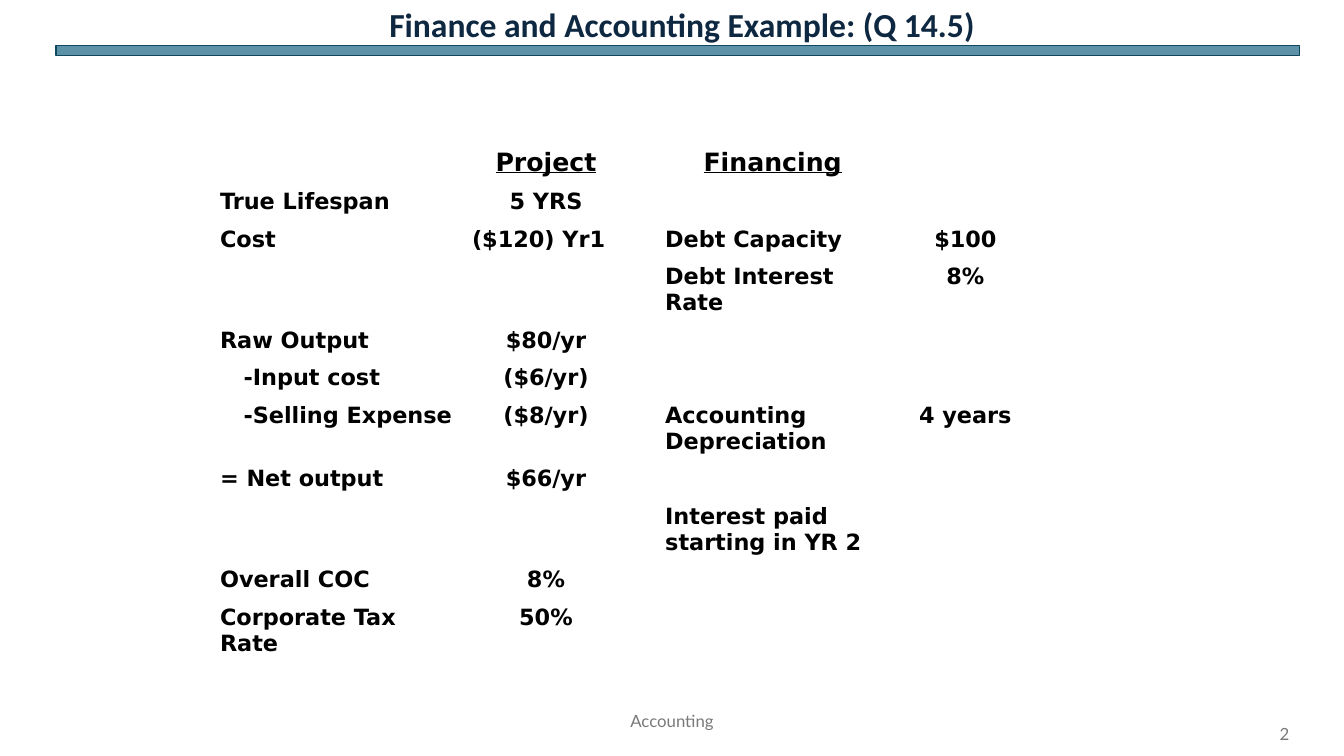
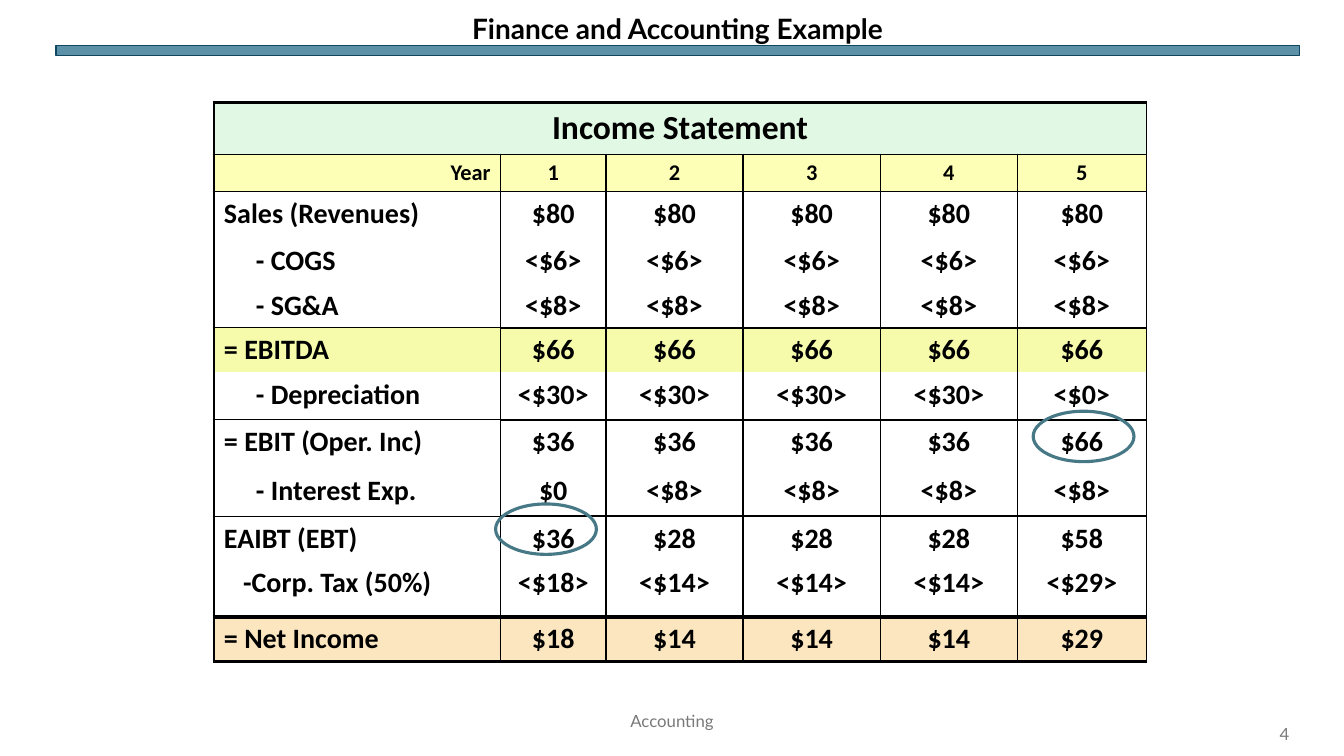
import pptx
import pptx.dml.color
import pptx.enum.shapes
import pptx.enum.text
import pptx.oxml
import pptx.oxml.ns
import pptx.util
import lxml.etree

ALIGN = pptx.enum.text.PP_ALIGN
ANCHOR = pptx.enum.text.MSO_ANCHOR
SHAPE = pptx.enum.shapes.MSO_SHAPE
NO_STYLE = "{2D5ABB26-0587-4C30-8999-92F81FD0307C}"
qn = pptx.oxml.ns.qn

deck = pptx.Presentation()
deck.slide_width = pptx.util.Inches(13.33)
deck.slide_height = pptx.util.Inches(7.5)
COL = deck.slide_width / 120
ROW = deck.slide_height / 75


def paint(fill, color):
    fill.solid()
    fill.fore_color.rgb = pptx.dml.color.RGBColor.from_string(color)


def write(frame, text, font="Lato", size=20, color="000000", bold=False, underline=False,
          align=ALIGN.LEFT, anchor=None, indent=0, spacing=None):
    if anchor is not None:
        frame.word_wrap = True
        frame.auto_size = pptx.enum.text.MSO_AUTO_SIZE.NONE
        frame.vertical_anchor = anchor
    paragraph = frame.paragraphs[0]
    paragraph.alignment = align
    paragraph.line_spacing = spacing
    if indent:
        paragraph._p.get_or_add_pPr().set("marL", str(round(indent * COL)))
    if not text:
        end = lxml.etree.SubElement(paragraph._p, qn("a:endParaRPr"))
        end.set("sz", str(size * 100))
        return
    run = paragraph.add_run()
    run.text = text
    run.font.name = font
    run.font.size = pptx.util.Pt(size)
    run.font.bold = bold
    run.font.underline = underline
    paint(run.font.fill, color)


assumptions = [
    ["", "Project", "", "Financing", ""],
    ["True Lifespan", "5 YRS", "", "", ""],
    ["Cost", "($120) Yr1", "", "Debt Capacity", "$100"],
    ["", "", "", "Debt Interest Rate", "8%"],
    ["Raw Output", "$80/yr", "", "", ""],
    ["-Input cost", "($6/yr)", "", "", ""],
    ["-Selling Expense", "($8/yr)", "", "Accounting Depreciation", "4 years"],
    ["= Net output", "$66/yr", "", "", ""],
    ["", "", "", "Interest paid starting in YR 2", ""],
    ["Overall COC", "8%", "", "", ""],
    ["Corporate Tax Rate", "50%", "", "", ""],
    ["", "", "", "", ""],
]
statement = [
    ["Income Statement", "", "", "", "", ""],
    ["Year", "1", "2", "3", "4", "5"],
    ["Sales (Revenues)"] + ["$80"] * 5,
    ["- COGS"] + ["<$6>"] * 5,
    ["- SG&A"] + ["<$8>"] * 5,
    ["= EBITDA"] + ["$66"] * 5,
    ["- Depreciation"] + ["<$30>"] * 4 + ["<$0>"],
    ["= EBIT (Oper. Inc)"] + ["$36"] * 4 + ["$66"],
    ["- Interest Exp.", "$0"] + ["<$8>"] * 4,
    ["EAIBT (EBT)", "$36"] + ["$28"] * 3 + ["$58"],
    ["-Corp. Tax (50%)", "<$18>"] + ["<$14>"] * 3 + ["<$29>"],
    ["= Net Income", "$18"] + ["$14"] * 3 + ["$29"],
]
indents = {"-Input cost": 2.1, "- COGS": 2.85, "- SG&A": 2.85, "- Depreciation": 2.85,
           "- Interest Exp.": 2.85, "-Corp. Tax (50%)": 1.7}
alignments = {"($120) Yr1": ALIGN.LEFT, "-Selling Expense": ALIGN.RIGHT, "Year": ALIGN.RIGHT}

pages = [
    dict(number="2", title="Finance and Accounting Example: (Q 14.5)",
         title_at=(18.9, -1.5, 84, 7.8),
         title_format=dict(font="Calibri", size=24, color="0E2841", anchor=ANCHOR.MIDDLE),
         cells=assumptions, corner=(18.75, 14.2), columns=[22.5, 15, 2.25, 21, 13.4],
         rows=[4, 3.7, 3.7, 6.3, 3.7, 3.7, 6.3, 3.7, 6.3, 3.7, 6.3, 3.7],
         font="DejaVu Sans", size=16, row_sizes={0: 18}, centred=(1, 4)),
    dict(number="4", title="Finance and Accounting Example",
         title_at=(5, 0.5, 111, 4),
         title_format=dict(size=20, anchor=ANCHOR.BOTTOM, spacing=0.9),
         cells=statement, corner=(19.1, 10.2), columns=[25.6, 9.4, 12.25, 12.25, 12.25, 11.5],
         rows=[5.1, 3.7, 4.7, 4.4, 4.4, 4.4, 4.7, 4.9, 4.7, 4.4, 5.6, 4.4],
         font="Calibri", size=20, row_sizes={0: 24, 1: 16}, centred=(1, 2, 3, 4, 5)),
]

for page in pages:
    slide = deck.slides.add_slide(deck.slide_layouts[5])
    band = slide.shapes.add_shape(SHAPE.RECTANGLE, round(5 * COL), round(4.5 * ROW),
                                  round(111 * COL), round(ROW))
    band.shadow.inherit = False
    paint(band.fill, "156082")
    band_color = band._element.spPr.find(qn("a:solidFill"))[0]
    lxml.etree.SubElement(band_color, qn("a:alpha")).set("val", "69000")
    paint(band.line.fill, "104760")
    band.line.width = 0
    slide.shapes._spTree.insert(2, band._element)

    title = slide.shapes.title
    left, top, width, height = page["title_at"]
    title.left, title.top = round(left * COL), round(top * ROW)
    title.width, title.height = round(width * COL), round(height * ROW)
    frame = title.text_frame
    frame.margin_left = frame.margin_top = frame.margin_right = frame.margin_bottom = 0
    write(frame, page["title"], bold=True, align=ALIGN.CENTER, **page["title_format"])

    left, top = page["corner"]
    table = slide.shapes.add_table(
        len(page["rows"]), len(page["columns"]), round(left * COL), round(top * ROW),
        round(sum(page["columns"]) * COL), round(sum(page["rows"]) * ROW)).table
    table.first_row = table.horz_banding = False
    table._tbl.tblPr.find(qn("a:tableStyleId")).text = NO_STYLE
    for column, width in zip(table.columns, page["columns"]):
        column.width = round(width * COL)
    for r, (texts, height) in enumerate(zip(page["cells"], page["rows"])):
        table.rows[r].height = round(height * ROW)
        for c, text in enumerate(texts):
            centred = r == 0 or c in page["centred"]
            write(table.cell(r, c).text_frame, text, font=page["font"], bold=True,
                  size=page["row_sizes"].get(r, page["size"]),
                  underline=r == 0 and page["cells"] is assumptions,
                  align=alignments.get(text, ALIGN.CENTER if centred else ALIGN.LEFT),
                  indent=indents.get(text, 0))
            table.cell(r, c).fill.background()

    for text, left, top, width, align in (
            ("Accounting", 39.75, 69.5, 40.5, ALIGN.CENTER),
            (page["number"], 110, 70.8, 6, ALIGN.RIGHT)):
        footer = slide.shapes.add_textbox(round(left * COL), round(top * ROW),
                                          round(width * COL), round(4 * ROW))
        write(footer.text_frame, text, size=12, color="797979", align=align, anchor=ANCHOR.MIDDLE)

row_fills = {0: "E0F8E4", 1: "FEFFB7", 5: "F5FBAB", 11: "FBE6C0"}
rules = {0: 2.25, 1: 1, 2: 1, 5: 1.5, 7: 1.5, 9: 1.5, 11: 3, 12: 2.25}
for r in range(len(statement)):
    for c in range(len(statement[0])):
        cell = table.cell(r, c)
        above, below = (1 if c == 0 and rules.get(edge) == 1.5 else rules.get(edge)
                        for edge in (r, r + 1))
        edges = {"L": 2.25 if c == 0 else 1, "R": 2.25 if r == 0 and c == 5 else 1,
                 "T": above, "B": below}
        properties = cell._tc.get_or_add_tcPr()
        for position, (side, points) in enumerate(edges.items()):
            edge = pptx.oxml.parse_xml(
                f'<a:ln{side} {pptx.oxml.ns.nsdecls("a")} w="{round((points or 0) * 12700)}">'
                + ('<a:solidFill><a:srgbClr val="000000"/></a:solidFill>' if points
                   else '<a:noFill/>') + f'</a:ln{side}>')
            properties.insert(position, edge)
        if r in row_fills:
            paint(cell.fill, row_fills[r])
table.cell(0, 0).merge(table.cell(0, 5))

for left, top in ((92.25, 40.8), (44.25, 50)):
    highlight = slide.shapes.add_shape(SHAPE.OVAL, round(left * COL), round(top * ROW),
                                       round(9 * COL), round(5 * ROW))
    highlight.shadow.inherit = False
    highlight.fill.background()
    paint(highlight.line.fill, "467886")
    highlight.line.width = pptx.util.Pt(2.25)

deck.save("out.pptx")
